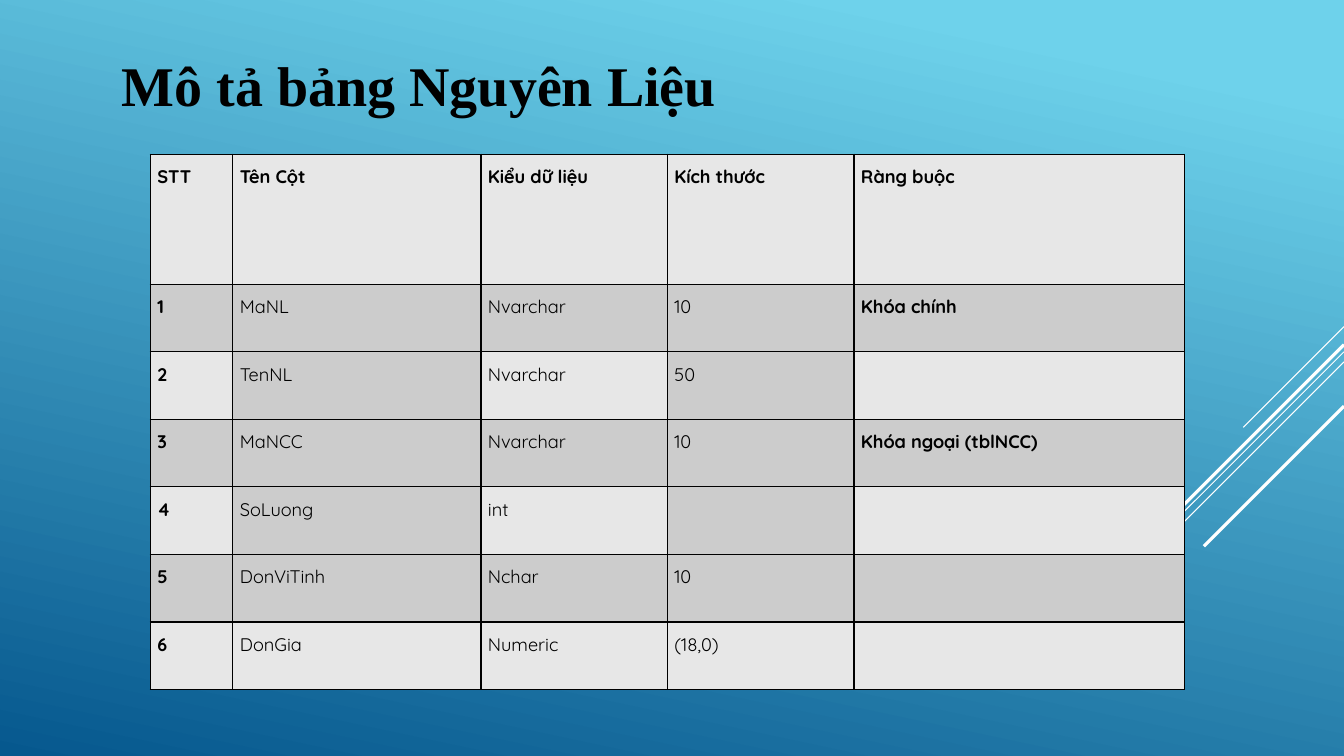
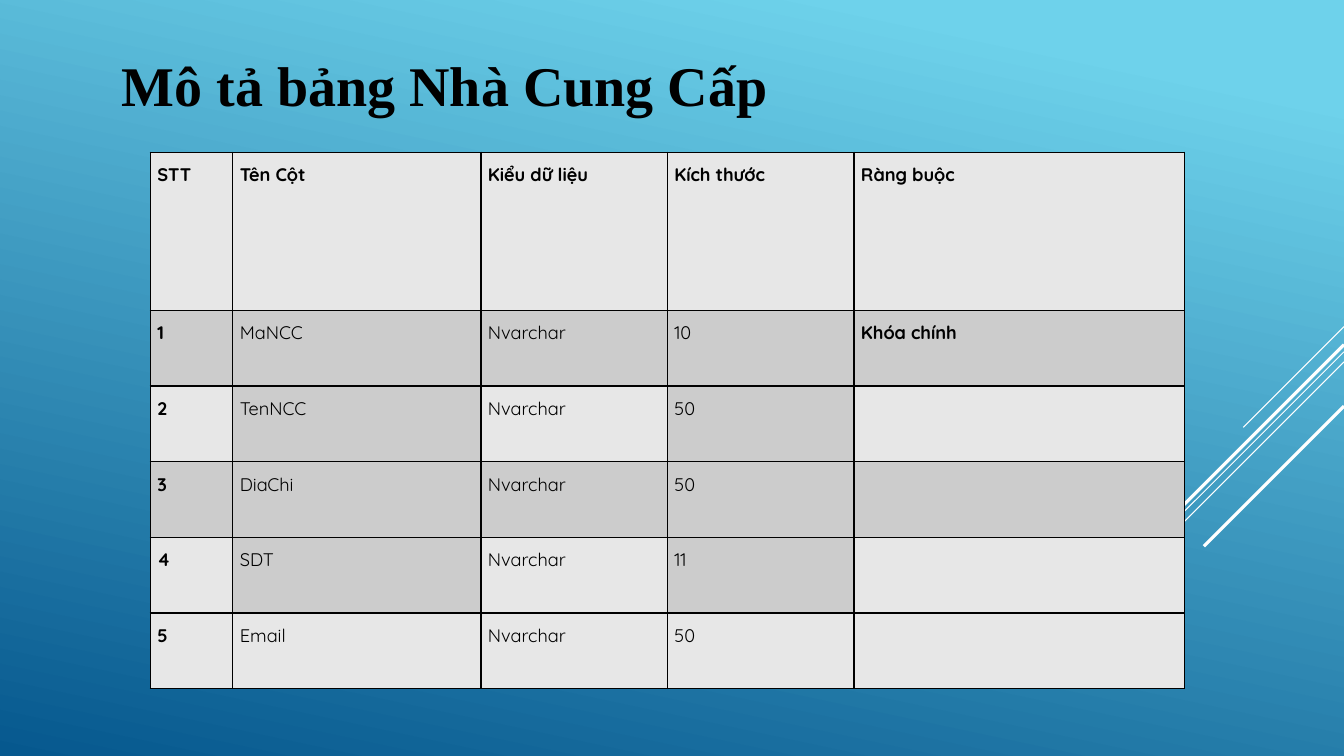
from dataclasses import dataclass

from lxml import etree
from pptx import Presentation
from pptx.dml.color import RGBColor
from pptx.enum.shapes import MSO_CONNECTOR
from pptx.enum.text import MSO_ANCHOR, MSO_AUTO_SIZE, PP_ALIGN
from pptx.oxml.ns import qn
from pptx.slide import Slide, SlideMaster
from pptx.table import _Cell
from pptx.text.text import TextFrame
from pptx.util import Inches, Pt

STRAIGHT = MSO_CONNECTOR.STRAIGHT
TOP = MSO_ANCHOR.TOP
GROW = MSO_AUTO_SIZE.SHAPE_TO_FIT_TEXT
LEFT, JUSTIFY = PP_ALIGN.LEFT, PP_ALIGN.JUSTIFY

COLORS = {
    "sky": "6ED2EB",
    "deep": "06588E",
    "stroke": "FFFFFF",
    "ink": "000000",
    "light": "E7E7E7",
    "dark": "CCCCCC",
}
TITLE_FONT, TABLE_FONT = "Times New Roman", "Quicksand"
SLIDE_WIDTH, SLIDE_HEIGHT = 13.33, 7.5
TITLE_ONLY_LAYOUT = 5

TABLE_LEFT = 1.49
COLUMN_WIDTHS = (0.82, 2.46, 1.85, 1.85, 3.28)
HEADERS = ("STT", "Tên Cột", "Kiểu dữ liệu", "Kích thước", "Ràng buộc")
BOLD_COLUMNS = (0, 4)
SHADED_COLUMNS = (1, 3)


@dataclass(frozen=True)
class Stroke:
    """A 45-degree line going down and left from the right slide edge."""
    top: float
    run: float
    weight: float


@dataclass(frozen=True)
class TableSlide:
    title: str
    title_width: float
    table_top: float
    header_height: float
    row_height: float
    fields: tuple[tuple[str, str, str, str], ...]


STROKES = (
    Stroke(3.24, 1.0, 0.75),
    Stroke(3.49, 3.26, 0.75),
    Stroke(3.59, 2.07, 0.75),
    Stroke(3.42, 1.91, 2.25),
    Stroke(4.03, 1.39, 2.25),
)

TABLE_SLIDES = (
    TableSlide("Mô tả bảng Nguyên Liệu", 6.16, 1.53, 1.29, 0.67, (
        ("MaNL", "Nvarchar", "10", "Khóa chính"),
        ("TenNL", "Nvarchar", "50", ""),
        ("MaNCC", "Nvarchar", "10", "Khóa ngoại (tblNCC)"),
        ("SoLuong", "int", "", ""),
        ("DonViTinh", "Nchar", "10", ""),
        ("DonGia", "Numeric", "(18,0)", ""),
    )),
    TableSlide("Mô tả bảng Nhà Cung Cấp", 6.67, 1.51, 1.57, 0.75, (
        ("MaNCC", "Nvarchar", "10", "Khóa chính"),
        ("TenNCC", "Nvarchar", "50", ""),
        ("DiaChi", "Nvarchar", "50", ""),
        ("SDT", "Nvarchar", "11", ""),
        ("Email", "Nvarchar", "50", ""),
    )),
)


def rgb(name: str) -> RGBColor:
    return RGBColor.from_string(COLORS[name])


def write_text(frame: TextFrame, text: str, *, font: str, size: float,
               bold: bool = False, color: str = "ink",
               align: PP_ALIGN = LEFT, spacing: float = 1.0) -> None:
    paragraph = frame.paragraphs[0]
    paragraph.alignment = align
    paragraph.line_spacing = spacing
    run = paragraph.add_run()
    run.text = text
    run.font.name = font
    run.font.size = Pt(size)
    run.font.bold = bold
    run.font.color.rgb = rgb(color)


# Shared look
def paint_background(master: SlideMaster) -> None:
    fill = master.background.fill
    fill.gradient()
    fill.gradient_angle = 258
    for stop, (position, color) in zip(fill.gradient_stops,
                                       ((0.1, "sky"), (1.0, "deep"))):
        stop.position = position
        stop.color.rgb = rgb(color)


def draw_strokes(slide: Slide) -> None:
    for stroke in STROKES:
        connector = slide.shapes.add_connector(
            STRAIGHT, Inches(SLIDE_WIDTH), Inches(stroke.top),
            Inches(SLIDE_WIDTH - stroke.run), Inches(stroke.top + stroke.run))
        connector.line.color.rgb = rgb("stroke")
        connector.line.width = Pt(stroke.weight)
        etree.SubElement(connector._element.spPr, qn("a:effectLst"))


def place_title(slide: Slide, text: str, width: float) -> None:
    title = slide.shapes.title
    title.left, title.top = Inches(1.11), Inches(0.45)
    title.width, title.height = Inches(width), Inches(0.77)
    frame = title.text_frame
    frame.word_wrap = False
    frame.auto_size = GROW
    frame.vertical_anchor = TOP
    write_text(frame, text, font=TITLE_FONT, size=40, bold=True)


# Table
def set_borders(cell: _Cell, top: float, bottom: float) -> None:
    properties = cell._tc.get_or_add_tcPr()
    for side, weight in (("L", 1), ("R", 1), ("T", top), ("B", bottom)):
        line = etree.SubElement(properties, qn(f"a:ln{side}"), w=str(Pt(weight)))
        fill = etree.SubElement(line, qn("a:solidFill"))
        etree.SubElement(fill, qn("a:srgbClr"), val=COLORS["ink"])


def cell_color(row: int, column: int, last_row: int) -> str:
    if row in (0, last_row):
        return "light"
    return "dark" if row % 2 or column in SHADED_COLUMNS else "light"


def draw_table(slide: Slide, content: TableSlide) -> None:
    rows = [HEADERS] + [(str(number), *field)
                        for number, field in enumerate(content.fields, 1)]
    last_row = len(rows) - 1
    heights = [content.header_height] + [content.row_height] * last_row
    table = slide.shapes.add_table(
        len(rows), len(HEADERS), Inches(TABLE_LEFT), Inches(content.table_top),
        Inches(sum(COLUMN_WIDTHS)), Inches(sum(heights))).table
    table.first_row = table.horz_banding = False
    for column, width in zip(table.columns, COLUMN_WIDTHS):
        column.width = Inches(width)
    for row, height in zip(table.rows, heights):
        row.height = Inches(height)

    for row_index, texts in enumerate(rows):
        for column_index, text in enumerate(texts):
            cell = table.cell(row_index, column_index)
            # A heavier rule sets off the last row
            set_borders(cell, top=2 if row_index == last_row else 1,
                        bottom=2 if row_index == last_row - 1 else 1)
            cell.fill.solid()
            cell.fill.fore_color.rgb = rgb(
                cell_color(row_index, column_index, last_row))
            cell.margin_left = cell.margin_right = Inches(0.07)
            cell.margin_top = cell.margin_bottom = 0
            if text:
                write_text(cell.text_frame, text, font=TABLE_FONT, size=13,
                           bold=row_index == 0 or column_index in BOLD_COLUMNS,
                           align=JUSTIFY, spacing=1.5)


def main() -> None:
    presentation = Presentation()
    presentation.slide_width = Inches(SLIDE_WIDTH)
    presentation.slide_height = Inches(SLIDE_HEIGHT)
    paint_background(presentation.slide_master)
    layout = presentation.slide_layouts[TITLE_ONLY_LAYOUT]
    for content in TABLE_SLIDES:
        slide = presentation.slides.add_slide(layout)
        draw_strokes(slide)
        draw_table(slide, content)
        place_title(slide, content.title, content.title_width)
    presentation.save("out.pptx")


if __name__ == "__main__":
    main()
